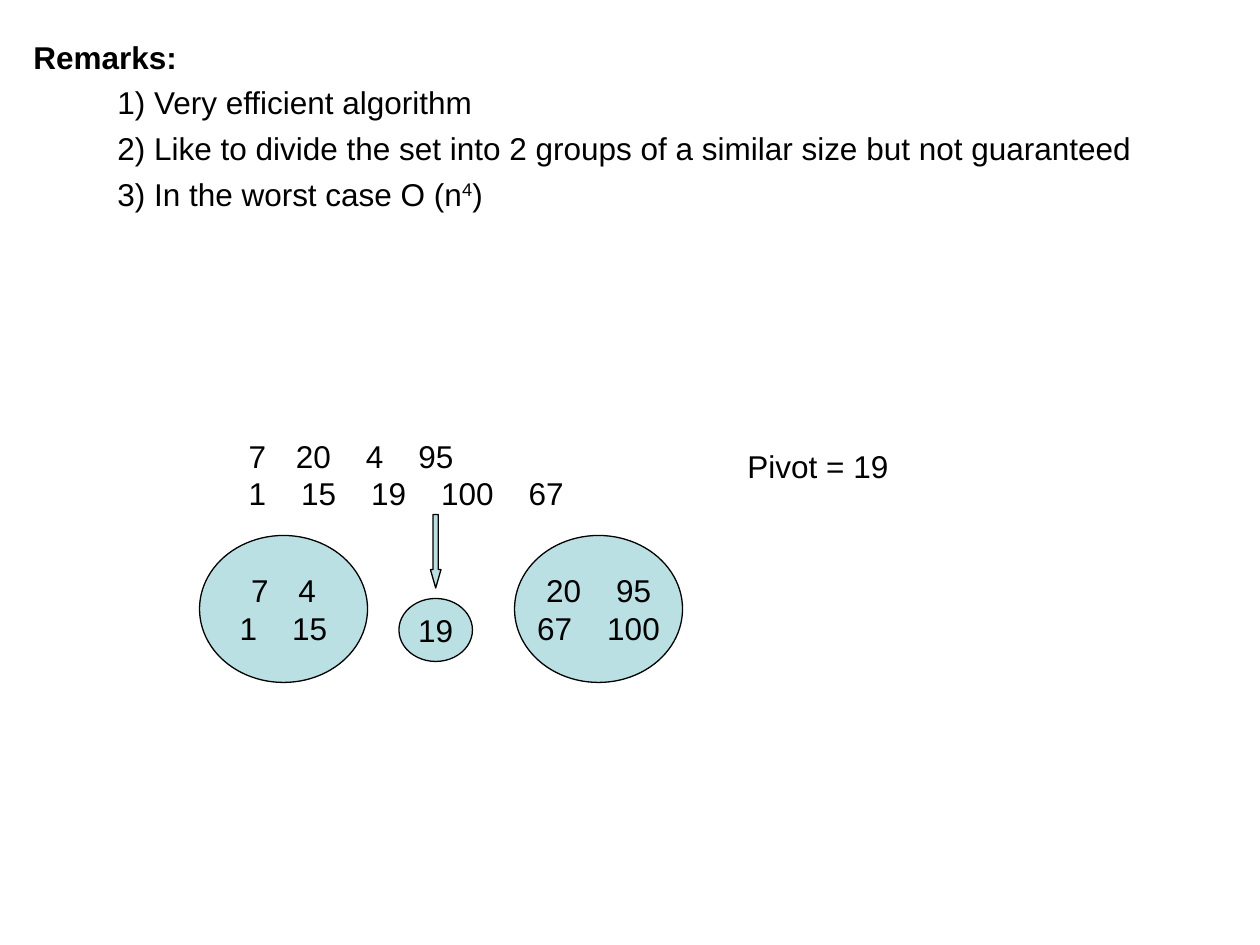
from lxml import etree
from pptx import Presentation
from pptx.dml.color import RGBColor
from pptx.enum.shapes import MSO_SHAPE
from pptx.enum.text import MSO_ANCHOR, PP_ALIGN
from pptx.oxml.ns import qn
from pptx.util import Pt

OVAL, ARROW = MSO_SHAPE.OVAL, MSO_SHAPE.DOWN_ARROW
MID, CENTER = MSO_ANCHOR.MIDDLE, PP_ALIGN.CENTER

THEME = {
    "font": "Arial",
    "size": 18,
    "ink": RGBColor(0, 0, 0),
    "fill": RGBColor(0xBB, 0xE0, 0xE3),
    "line": 0.75,
}

HEAD = "Remarks:"
NOTES = [
    [("1) Very efficient algorithm", 0)],
    [("2) Like to divide the set into 2 groups of a similar size "
      "but not guaranteed", 0)],
    [("3) In the worst case O (n", 0), ("4", 30000), (")", 0)],
]
PIVOT = "Pivot = 19"

# The first number of a row marked with a start value is its list number.
INPUT = [(7, "20 4 95"), (None, "1 15 19 100 67")]
GROUPS = [
    ((114, 306, 96, 84), [(7, "4"), (None, "1 15")]),
    ((294, 306, 96, 84), [(None, "20 95"), (None, "67 100")]),
    ((228, 342, 42, 36), [(None, "19")]),
]
HANG = 27
GAP = 15


def add_run(par, text, bold=False, base=0):
    run = par.add_run()
    run.text = text
    font = run.font
    font.name, font.size, font.bold = THEME["font"], Pt(THEME["size"]), bold
    font.color.rgb = THEME["ink"]
    if base:
        run._r.get_or_add_rPr().set("baseline", str(base))
    return run


def indent(par, left, first=0):
    props = par._p.get_or_add_pPr()
    props.set("marL", str(Pt(left)))
    props.set("indent", str(Pt(first)))
    return props


def next_par(frame, index):
    return frame.add_paragraph() if index else frame.paragraphs[0]


def fill_rows(frame, rows, align=None):
    frame.word_wrap = False
    for i, (start, text) in enumerate(rows):
        par = next_par(frame, i)
        if align is not None:
            par.alignment = align
        if len(rows) > 1:
            props = indent(par, HANG, -HANG)
            if start:
                etree.SubElement(props, qn("a:buFont"), typeface=THEME["font"])
                etree.SubElement(props, qn("a:buAutoNum"),
                                 type="arabicPlain", startAt=str(start))
        for j, num in enumerate(text.split()):
            if j:
                space = add_run(par, " ")
                space._r.get_or_add_rPr().set("spc", str(GAP * 100))
            add_run(par, num)


def add_box(slide, place):
    frame = slide.shapes.add_textbox(*map(Pt, place)).text_frame
    frame.word_wrap = True
    return frame


def add_form(slide, kind, place):
    form = slide.shapes.add_shape(kind, *map(Pt, place))
    form.shadow.inherit = False
    form.fill.solid()
    form.fill.fore_color.rgb = THEME["fill"]
    form.line.color.rgb = THEME["ink"]
    form.line.width = Pt(THEME["line"])
    return form


def main():
    deck = Presentation()
    deck.slide_width, deck.slide_height = Pt(720), Pt(540)
    slide = deck.slides.add_slide(deck.slide_layouts[6])

    frame = add_box(slide, (12, 18, 690, 198))
    add_run(frame.paragraphs[0], HEAD, bold=True)
    for note in NOTES:
        par = frame.add_paragraph()
        par.space_before = Pt(4.5)
        indent(par, 48)
        for text, base in note:
            add_run(par, text, base=base)

    fill_rows(add_box(slide, (135, 246, 248, 50.5)), INPUT)

    for place, rows in GROUPS:
        frame = add_form(slide, OVAL, place).text_frame
        frame.vertical_anchor = MID
        fill_rows(frame, rows, CENTER)

    arrow = add_form(slide, ARROW, (246, 294, 6, 42))
    arrow.adjustments[0], arrow.adjustments[1] = 0.5, 1.75

    add_run(add_box(slide, (420, 252, 126, 29)).paragraphs[0], PIVOT)

    deck.save("out.pptx")


if __name__ == "__main__":
    main()
